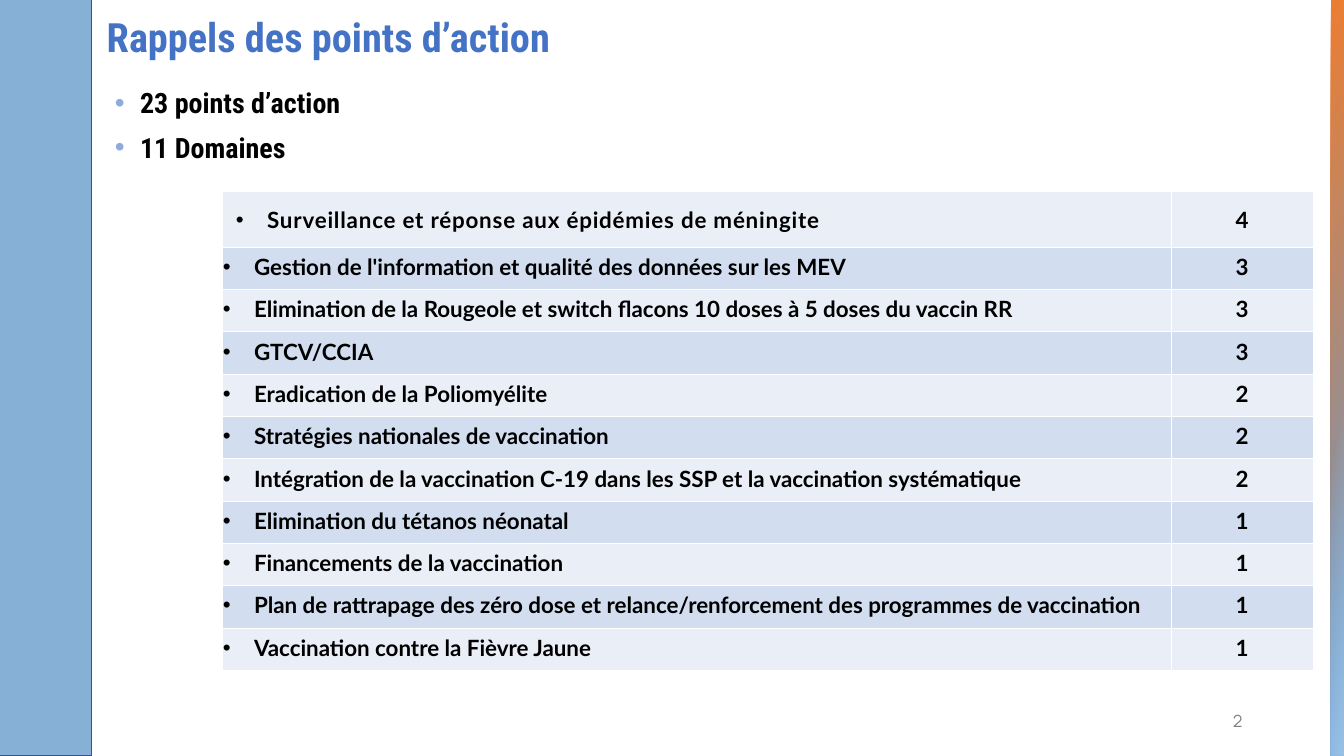
from pptx import Presentation
from pptx.dml.color import RGBColor
from pptx.enum.shapes import MSO_SHAPE as Preset
from pptx.enum.text import MSO_ANCHOR as Anchor, PP_ALIGN as Align
from pptx.oxml.ns import qn
from pptx.util import Inches, Pt
from lxml.etree import SubElement

TITLE = "Rappels des points d’action"
SUMMARY = ["23 points d’action", "11 Domaines"]
PAGE_NUMBER = "2"
DOMAINS = [
    ("Surveillance et réponse aux épidémies de méningite", 4),
    ("Gestion de l'information et qualité des données sur les MEV", 3),
    ("Elimination de la Rougeole et switch flacons 10 doses à 5 doses du vaccin RR", 3),
    ("GTCV/CCIA", 3),
    ("Eradication de la Poliomyélite", 2),
    ("Stratégies nationales de vaccination", 2),
    ("Intégration de la vaccination C-19 dans les SSP et la vaccination systématique", 2),
    ("Elimination du tétanos néonatal", 1),
    ("Financements de la vaccination", 1),
    ("Plan de rattrapage des zéro dose et relance/renforcement des programmes de vaccination", 1),
    ("Vaccination contre la Fièvre Jaune", 1),
]

BLACK = RGBColor(0x00, 0x00, 0x00)
WHITE = RGBColor(0xFF, 0xFF, 0xFF)
GREY = RGBColor(0x80, 0x80, 0x80)
TITLE_BLUE = RGBColor(0x44, 0x72, 0xC4)
BULLET_BLUE = RGBColor(0x8F, 0xAA, 0xDC)
BAND_FILL = RGBColor(0x86, 0xB0, 0xD6)
BAND_LINE = RGBColor(0x32, 0x54, 0x91)
ORANGE = RGBColor(0xED, 0x7D, 0x31)
STRIP_BLUE = RGBColor(0x5B, 0x9B, 0xD5)
PALE_BLUE = RGBColor(0x9D, 0xC3, 0xE6)
ROW_FILLS = [RGBColor(0xEA, 0xEF, 0xF7), RGBColor(0xD2, 0xDE, 0xEF)]

WIDTH, HEIGHT = 13.33, 7.5
STRIP_WIDTH = 0.13
TABLE_LEFT, TABLE_TOP = 2.2, 1.9
COLUMN_WIDTHS = [9.42, 1.4]
FIRST_ROW, OTHER_ROW = 0.55, 0.42
MARGIN_SIDES = ["margin_left", "margin_right", "margin_top", "margin_bottom"]
FIRST_MARGINS = [0.14] * 4
OTHER_MARGINS = [0.01, 0.01, 0.01, 0.09]

TITLE_FONT = dict(name="Roboto Condensed", size=Pt(28.8), bold=True)
SUMMARY_FONT = dict(name="Roboto Condensed", size=Pt(20), bold=True)
TABLE_FONT = dict(name="Lato", size=Pt(16), bold=True)
PAGE_FONT = dict(name="Manrope", size=Pt(12))


def apply(target, values):
    for key, value in values.items():
        setattr(target, key, value)


def write(paragraph, text, font, color, **layout):
    run = paragraph.add_run()
    run.text = text
    apply(run.font, font)
    run.font.color.rgb = color
    apply(paragraph, layout)
    return run


def add_bullet(paragraph, indent, color):
    properties = paragraph._p.get_or_add_pPr()
    properties.set("marL", str(Inches(indent)))
    properties.set("indent", str(-Inches(indent)))
    bullet_color = SubElement(properties, qn("a:buClr"))
    SubElement(bullet_color, qn("a:srgbClr"), val=str(color))
    SubElement(properties, qn("a:buFont"), typeface="Arial")
    SubElement(properties, qn("a:buChar"), char="•")


def add_frame(slide, box, anchor):
    frame = slide.shapes.add_textbox(*map(Inches, box)).text_frame
    apply(frame, dict(word_wrap=True, vertical_anchor=anchor))
    return frame


def add_rectangle(slide, *box):
    rectangle = slide.shapes.add_shape(Preset.RECTANGLE, *map(Inches, box))
    rectangle.shadow.inherit = False
    return rectangle


def add_strip(slide, top, angle, stops):
    strip = add_rectangle(slide, WIDTH - STRIP_WIDTH, top, STRIP_WIDTH, HEIGHT - top)
    strip.line.fill.background()
    strip.fill.gradient()
    strip.fill.gradient_angle = 360 - angle
    for stop, (position, color) in zip(strip.fill.gradient_stops, stops):
        stop.position = position
        stop.color.rgb = color
    return strip


def add_borders(cell):
    properties = cell._tc.get_or_add_tcPr()
    for order, side in enumerate(["a:lnL", "a:lnR", "a:lnT", "a:lnB"]):
        border = SubElement(properties, qn(side), w=str(Pt(0.25)))
        fill = SubElement(border, qn("a:solidFill"))
        SubElement(fill, qn("a:srgbClr"), val=str(WHITE))
        properties.insert(order, border)


def add_domains(slide):
    row_heights = [FIRST_ROW] + [OTHER_ROW] * (len(DOMAINS) - 1)
    box = (TABLE_LEFT, TABLE_TOP, sum(COLUMN_WIDTHS), sum(row_heights))
    table = slide.shapes.add_table(
        len(DOMAINS), len(COLUMN_WIDTHS), *map(Inches, box)).table
    for column, width in zip(table.columns, COLUMN_WIDTHS):
        column.width = Inches(width)
    for index, (domain, count) in enumerate(DOMAINS):
        table.rows[index].height = Inches(row_heights[index])
        margins = OTHER_MARGINS if index else FIRST_MARGINS
        for column, text in enumerate([domain, str(count)]):
            cell = table.cell(index, column)
            cell.fill.solid()
            cell.fill.fore_color.rgb = ROW_FILLS[index % 2]
            cell.vertical_anchor = Anchor.BOTTOM
            apply(cell, dict(zip(MARGIN_SIDES, map(Inches, margins))))
            add_borders(cell)
            paragraph = cell.text_frame.paragraphs[0]
            run = write(paragraph, text, TABLE_FONT, BLACK,
                        alignment=Align.CENTER if column else Align.LEFT)
            if column == 0:
                add_bullet(paragraph, 0.31, BLACK)
                if index == 0:
                    run.font._element.set("spc", "60")


def main():
    deck = Presentation()
    apply(deck, dict(slide_width=Inches(WIDTH), slide_height=Inches(HEIGHT)))
    slide = deck.slides.add_slide(deck.slide_layouts[6])

    band = add_rectangle(slide, -0.05, -0.02, 0.96, HEIGHT + 0.02)
    band.fill.solid()
    band.fill.fore_color.rgb = BAND_FILL
    band.line.color.rgb = BAND_LINE
    band.line.width = Pt(1)

    heading = add_frame(slide, (0.96, 0, 4.71, 0.66), Anchor.BOTTOM)
    write(heading.paragraphs[0], TITLE, TITLE_FONT, TITLE_BLUE, line_spacing=0.9)

    summary = add_frame(slide, (1.04, 0.84, 3.78, 0.91), Anchor.TOP)
    for index, text in enumerate(SUMMARY):
        paragraph = summary.add_paragraph() if index else summary.paragraphs[0]
        write(paragraph, text, SUMMARY_FONT, BLACK,
              line_spacing=0.9, space_before=Pt(10))
        add_bullet(paragraph, 0.25, BULLET_BLUE)

    page = add_frame(slide, (9.42, 6.95, 3, 0.4), Anchor.MIDDLE)
    write(page.paragraphs[0], PAGE_NUMBER, PAGE_FONT, GREY,
          alignment=Align.RIGHT, space_after=Pt(6))

    add_strip(slide, 0, 30, [(0, ORANGE), (1, STRIP_BLUE)])
    fade = add_strip(slide, 3.86, 10, [(0.19, PALE_BLUE), (1, PALE_BLUE)])
    clear_color = next(fade._element.iter(qn("a:srgbClr")))
    SubElement(clear_color, qn("a:alpha"), val="0")

    add_domains(slide)
    deck.save("out.pptx")


if __name__ == "__main__":
    main()
